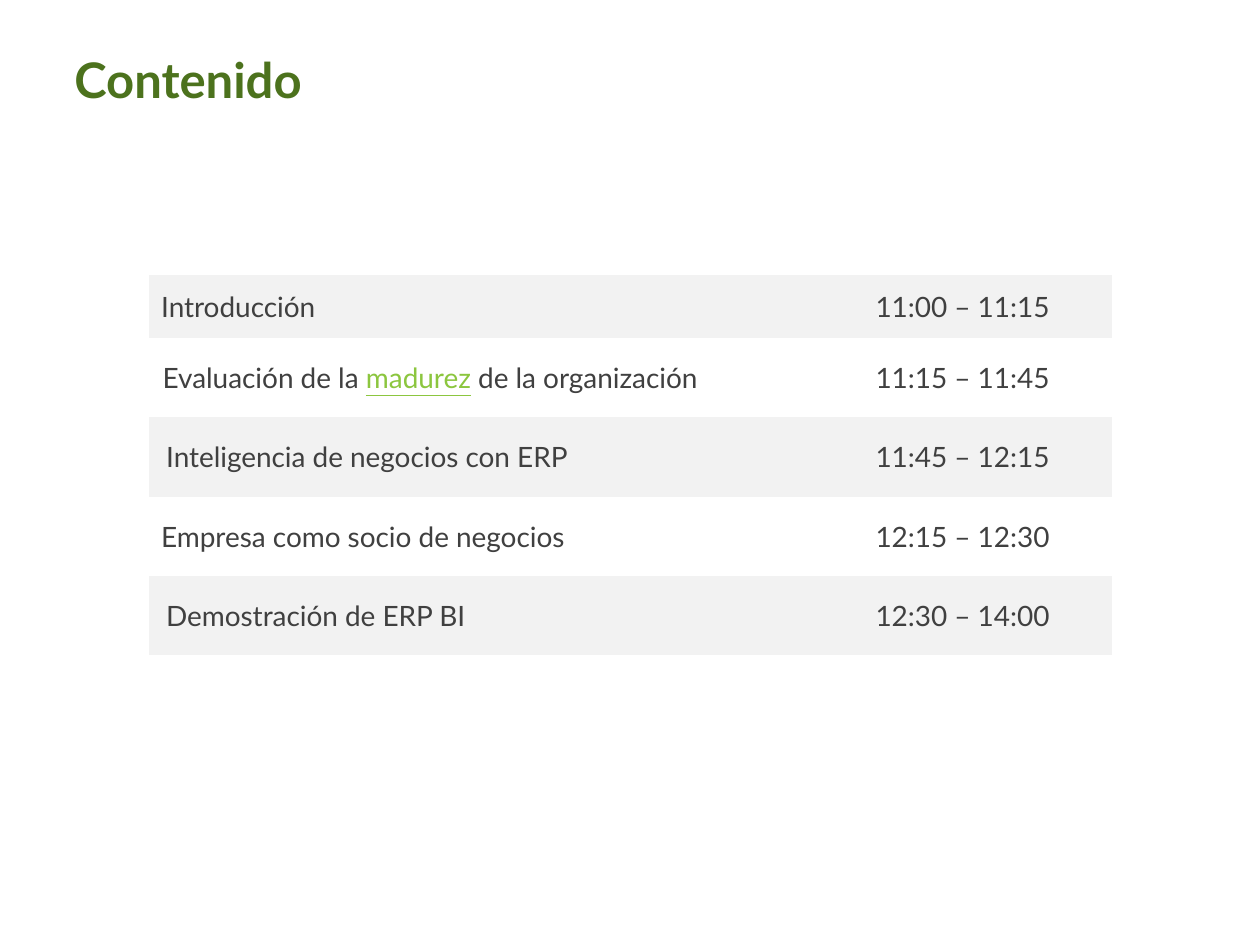
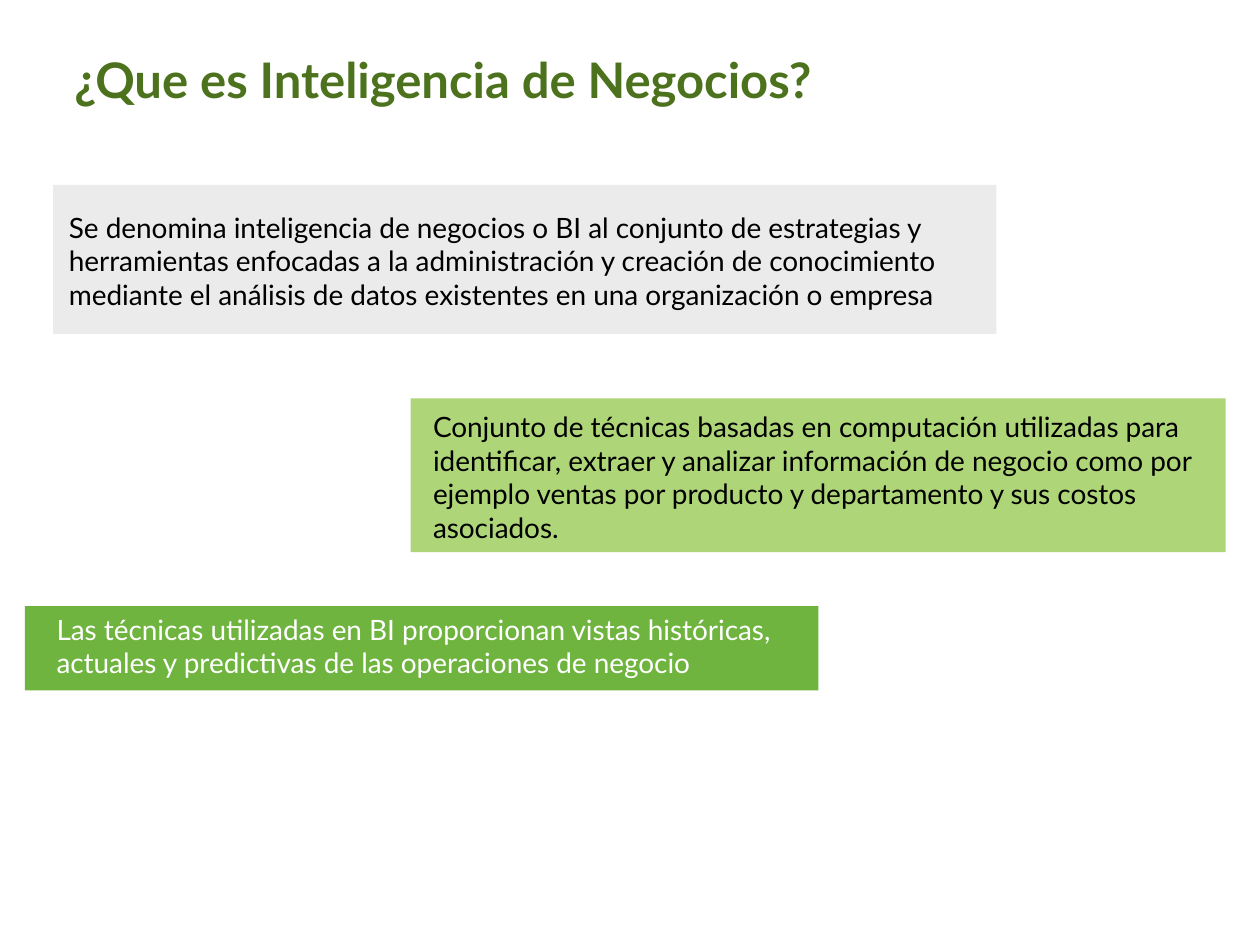
from typing import NamedTuple

from lxml import etree
from pptx import Presentation
from pptx.dml.color import RGBColor
from pptx.enum.shapes import MSO_SHAPE
from pptx.enum.text import MSO_ANCHOR, MSO_AUTO_SIZE
from pptx.oxml.ns import qn
from pptx.slide import Slide
from pptx.text.text import TextFrame
from pptx.util import Cm, Pt

RECTANGLE = MSO_SHAPE.RECTANGLE
MIDDLE = MSO_ANCHOR.MIDDLE
GROW = MSO_AUTO_SIZE.SHAPE_TO_FIT_TEXT

FONT = "Lato"
COLORS = {
    "title": "4C721D",
    "agenda": "404040",
    "highlight": "8CC63F",
    "stripe": "F2F2F2",
    "white": "FFFFFF",
    "black": "000000",
    "gray": "D9D9D9",
    "lime": "8CC63F",
    "green": "6FB43F",
}
SLIDE_WIDTH, SLIDE_HEIGHT = 25.4, 19.05
PLAIN_TABLE_STYLE = "{2D5ABB26-0587-4C30-8999-92F81FD0307C}"
COLUMN_WIDTHS = (14, 5.41)
FIRST_ROW_HEIGHT, ROW_HEIGHT = 1.27, 1.6
TIME_INDENT = 0.4


class Box(NamedTuple):
    """Left, top, width and height in centimetres."""
    left: float
    top: float
    width: float
    height: float

    def lengths(self) -> list[Cm]:
        return [Cm(value) for value in self]


class AgendaItem(NamedTuple):
    topic: str
    time: str
    indent: float = 0
    highlight: str = ""


class Statement(NamedTuple):
    text: str
    band: Box
    text_box: Box
    fill: str
    opacity: int = 100
    color: str = "black"


AGENDA = [
    AgendaItem("Introducción", "11:00 – 11:15"),
    AgendaItem("Evaluación de la madurez de la organización", "11:15 – 11:45",
               indent=0.03, highlight="madurez"),
    AgendaItem("Inteligencia de negocios con ERP", "11:45 – 12:15", indent=0.1),
    AgendaItem("Empresa como socio de negocios", "12:15 – 12:30"),
    AgendaItem("Demostración de ERP BI", "12:30 – 14:00", indent=0.1),
]

STATEMENTS = [
    Statement(
        "Se denomina inteligencia de negocios o BI al conjunto de estrategias y "
        "herramientas enfocadas a la administración y creación de conocimiento "
        "mediante el análisis de datos existentes en una organización o empresa",
        Box(1.07, 3.73, 19.02, 3), Box(1.14, 4.11, 19.79, 3), "gray", opacity=50),
    Statement(
        "Conjunto de técnicas basadas en computación utilizadas para identificar, "
        "extraer y analizar información de negocio como por ejemplo ventas por "
        "producto y departamento y sus costos asociados.",
        Box(8.28, 8.03, 16.43, 3.1), Box(8.48, 8.13, 16.43, 3), "lime", opacity=70),
    Statement(
        "Las técnicas utilizadas en BI proporcionan vistas históricas, actuales y "
        "predictivas de las operaciones de negocio",
        Box(0.5, 12.22, 16, 1.7), Box(0.89, 12.22, 16, 2.3), "green", color="white"),
]


def rgb(name: str) -> RGBColor:
    return RGBColor.from_string(COLORS[name])


def write_text(frame: TextFrame, text: str, *, color: str, size: float = 16,
               bold: bool = False, indent: float = 0, space_before: float = 0,
               highlight: str = "") -> None:
    """Fill the first paragraph, underlining the highlighted word if there is one."""
    paragraph = frame.paragraphs[0]
    paragraph.space_before = Pt(space_before)
    if indent:
        paragraph._p.get_or_add_pPr().set("marL", str(Cm(indent)))
    pieces = text.partition(highlight) if highlight else (text,)
    for piece in pieces:
        marked = bool(highlight) and piece == highlight
        run = paragraph.add_run()
        run.text = piece
        run.font.name = FONT
        run.font.size = Pt(size)
        run.font.bold = bold
        run.font.underline = marked
        run.font.color.rgb = rgb("highlight" if marked else color)


def add_titled_slide(presentation: Presentation, title: str) -> Slide:
    slide = presentation.slides.add_slide(presentation.slide_layouts[6])
    frame = slide.shapes.add_textbox(*Box(0, 0, SLIDE_WIDTH, 3).lengths()).text_frame
    frame.word_wrap = True
    frame.margin_left, frame.margin_top = Cm(1.5), Cm(1)
    frame.margin_right = frame.margin_bottom = 0
    write_text(frame, title, color="title", size=28, bold=True)
    return slide


def add_agenda(slide: Slide, items: list[AgendaItem]) -> None:
    heights = [FIRST_ROW_HEIGHT] + [ROW_HEIGHT] * (len(items) - 1)
    place = Box(3, 5.54, sum(COLUMN_WIDTHS), sum(heights))
    table = slide.shapes.add_table(
        len(items), len(COLUMN_WIDTHS), *place.lengths()).table
    table.first_row = table.horz_banding = False
    table._tbl.tblPr.find(qn("a:tableStyleId")).text = PLAIN_TABLE_STYLE
    for column, width in zip(table.columns, COLUMN_WIDTHS):
        column.width = Cm(width)
    for index, (item, height) in enumerate(zip(items, heights)):
        row = table.rows[index]
        row.height = Cm(height)
        for cell in row.cells:
            cell.fill.solid()
            cell.fill.fore_color.rgb = rgb("white" if index % 2 else "stripe")
            cell.vertical_anchor = MIDDLE
            cell.margin_left, cell.margin_right = Cm(0.25), 0
            cell.margin_top = cell.margin_bottom = Cm(0.05)
        topic_cell, time_cell = row.cells
        write_text(topic_cell.text_frame, item.topic, color="agenda",
                   indent=item.indent, space_before=6, highlight=item.highlight)
        write_text(time_cell.text_frame, item.time, color="agenda",
                   indent=TIME_INDENT, space_before=6)


def add_statement(slide: Slide, statement: Statement) -> None:
    """Draw the colour band and the text box that lies over it."""
    band = slide.shapes.add_shape(RECTANGLE, *statement.band.lengths())
    band.shadow.inherit = False
    band.line.fill.background()
    band.fill.solid()
    band.fill.fore_color.rgb = rgb(statement.fill)
    if statement.opacity < 100:
        color_element = band._element.spPr.find(qn("a:solidFill"))[0]
        etree.SubElement(color_element, qn("a:alpha"),
                         val=str(statement.opacity * 1000))
    frame = slide.shapes.add_textbox(*statement.text_box.lengths()).text_frame
    frame.word_wrap = True
    frame.auto_size = GROW
    write_text(frame, statement.text, color=statement.color)


def main() -> None:
    presentation = Presentation()
    presentation.slide_width = Cm(SLIDE_WIDTH)
    presentation.slide_height = Cm(SLIDE_HEIGHT)

    add_agenda(add_titled_slide(presentation, "Contenido"), AGENDA)

    definition_slide = add_titled_slide(
        presentation, "¿Que es Inteligencia de Negocios?")
    for statement in STATEMENTS:
        add_statement(definition_slide, statement)

    presentation.save("out.pptx")


if __name__ == "__main__":
    main()
